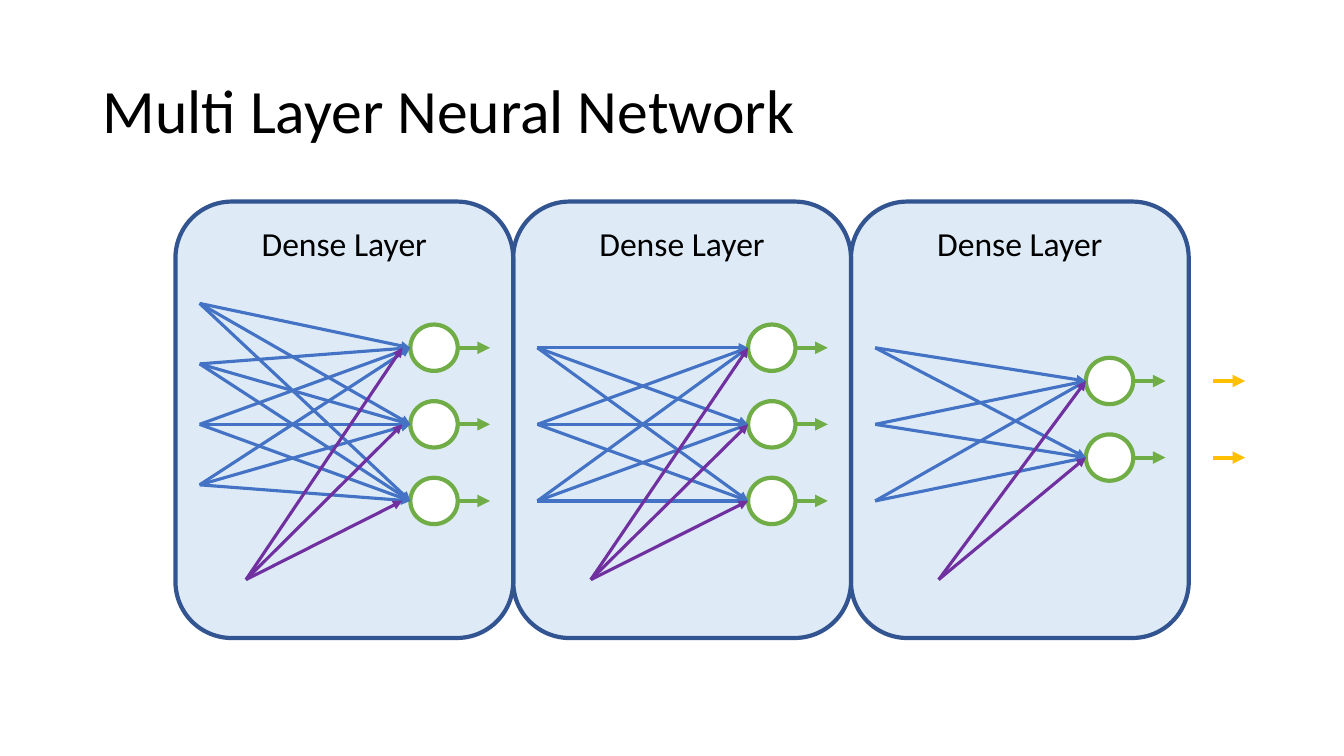
from lxml import etree
from pptx import Presentation
from pptx.dml.color import RGBColor
from pptx.enum.shapes import MSO_CONNECTOR, MSO_SHAPE
from pptx.enum.text import MSO_ANCHOR, PP_ALIGN
from pptx.oxml.ns import qn
from pptx.util import Inches, Pt

LINE = MSO_CONNECTOR.STRAIGHT
OVAL, ROUND = MSO_SHAPE.OVAL, MSO_SHAPE.ROUNDED_RECTANGLE
TOP, MIDDLE = MSO_ANCHOR.TOP, MSO_ANCHOR.MIDDLE
START, CENTER = PP_ALIGN.LEFT, PP_ALIGN.CENTER

COLORS = {
    "text": "000000", "panel": "DEEBF7", "border": "325491",
    "white": "FFFFFF", "node": "70AD47", "weight": "4472C4",
    "bias": "7030A0", "result": "FFC000",
}

# Grid, in inches
LEFT, STEP, PANEL_TOP, PANEL_H = 1.74, 3.35, 2, 4.33
INPUT_X, NODE_X = 0.24, 2.33
NODE_W, NODE_H, ROW = 0.47, 0.46, 0.76
ARROW, BIAS_Y = 0.32, 5.75

# Inputs: first height, gap, count. Nodes: first height, count.
# Bias: start within the panel, gap left before the node.
LAYERS = [
    {"inputs": (3.01, 0.6, 4), "nodes": (3.45, 3), "bias": (0.7, 0.08)},
    {"inputs": (3.45, ROW, 3), "nodes": (3.45, 3), "bias": (0.77, 0)},
    {"inputs": (3.45, ROW, 3), "nodes": (3.78, 2), "bias": (0.87, 0)},
]


def add_arrow(start, end, color, width):
    link = canvas.add_connector(LINE, *(Inches(v) for v in start + end))
    link.line.color.rgb = RGBColor.from_string(COLORS[color])
    link.line.width = Pt(width)
    tail = etree.SubElement(link.line._get_or_add_ln(), qn("a:tailEnd"))
    tail.set("type", "triangle")
    etree.SubElement(link._element.spPr, qn("a:effectLst"))


def add_shape(kind, box, fill, border):
    shape = canvas.add_shape(kind, *(Inches(v) for v in box))
    shape.shadow.inherit = False
    shape.fill.solid()
    shape.fill.fore_color.rgb = RGBColor.from_string(COLORS[fill])
    shape.line.color.rgb = RGBColor.from_string(COLORS[border])
    shape.line.width = Pt(3)
    return shape


deck = Presentation()
deck.slide_width, deck.slide_height = Inches(13.33), Inches(7.5)
slide = deck.slides.add_slide(deck.slide_layouts[6])
canvas = slide.shapes

title = canvas.add_textbox(*(Inches(v) for v in (0.92, 0.4, 11.5, 1.45)))
labels = [(title, "Multi Layer Neural Network", 44, MIDDLE, START, 0.9)]

# Panels, from right to left
for col in reversed(range(len(LAYERS))):
    box = (LEFT + col * STEP, PANEL_TOP, STEP, PANEL_H)
    panel = add_shape(ROUND, box, "panel", "border")
    labels.append((panel, "Dense Layer", 24, TOP, CENTER, 1.0))

for shape, words, size, anchor, align, spacing in labels:
    frame = shape.text_frame
    frame.word_wrap = True
    frame.vertical_anchor = anchor
    para = frame.paragraphs[0]
    para.alignment = align
    para.line_spacing = spacing
    run = para.add_run()
    run.text = words
    run.font.name = "Calibri"
    run.font.size = Pt(size)
    run.font.color.rgb = RGBColor.from_string(COLORS["text"])

# Nodes, weights and biases of each layer
for col, layer in enumerate(LAYERS):
    left = LEFT + col * STEP
    node_x = left + NODE_X
    edge = node_x + NODE_W
    first, gap, count = layer["inputs"]
    inputs = [first + i * gap for i in range(count)]
    first, count = layer["nodes"]
    nodes = [first + i * ROW for i in range(count)]
    bias_x, short = layer["bias"]

    for y in nodes:
        add_shape(OVAL, (node_x, y - NODE_H / 2, NODE_W, NODE_H),
                  "white", "node")
        add_arrow((edge, y), (edge + ARROW, y), "node", 3)

    for y in nodes:
        for start in inputs:
            add_arrow((left + INPUT_X, start), (node_x, y), "weight", 2.25)

    for y in nodes:
        add_arrow((left + bias_x, BIAS_Y), (node_x - short, y), "bias", 2.25)

# Results beside the last layer's nodes
for y in nodes:
    add_arrow((12.03, y), (12.03 + ARROW, y), "result", 3)

deck.save("out.pptx")
